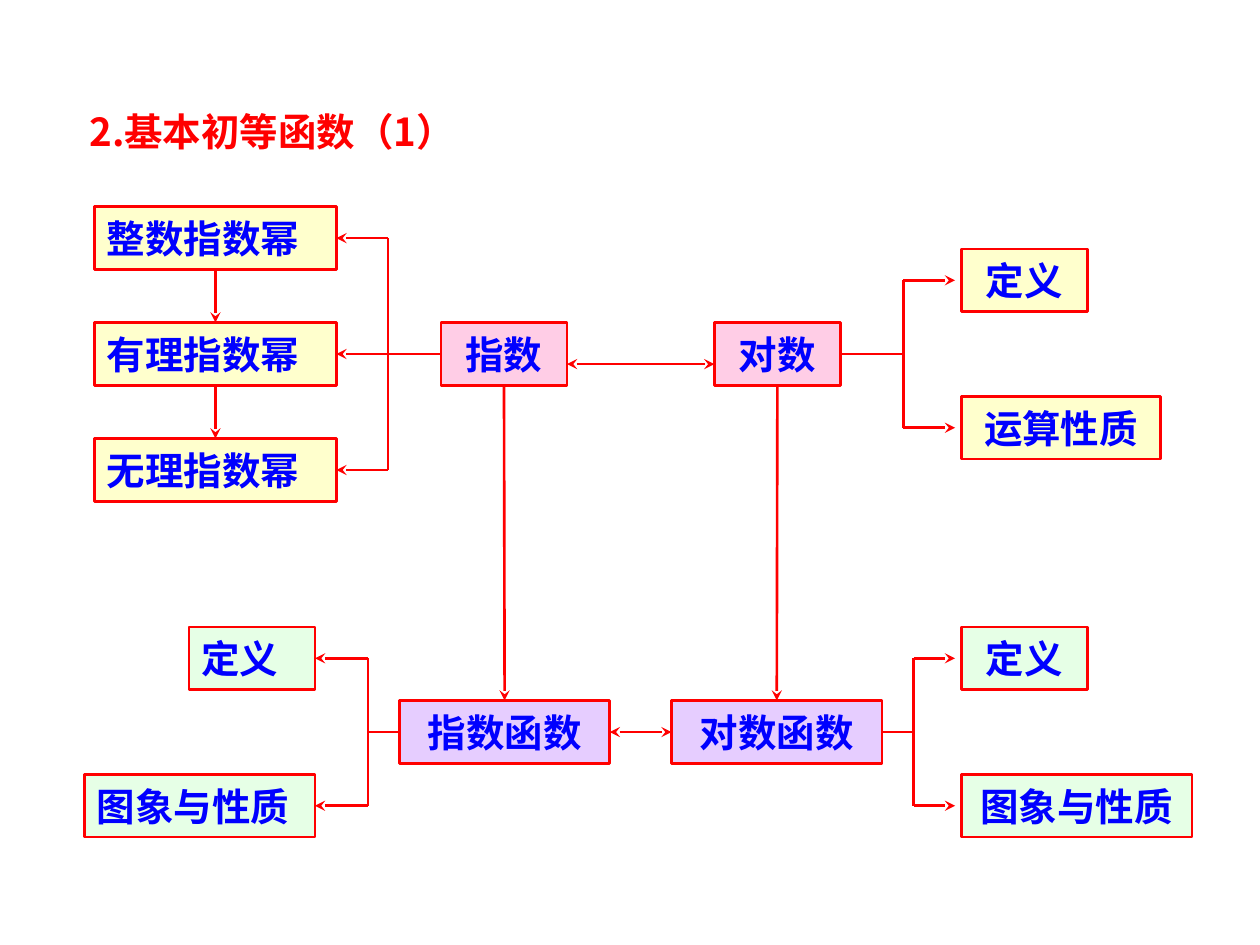
import pptx
import pptx.dml.color
import pptx.enum.shapes
import pptx.enum.text
import pptx.oxml
import pptx.oxml.ns
import pptx.util
from pptx.util import Inches

RED, BLUE = "FF0000", "0000FF"
YELLOW, PINK, PURPLE, GREEN = "FFFF99", "FF99CC", "CC99FF", "CCFFCC"
TOP, LEFT, BOTTOM, RIGHT = range(4)
ALIGN = pptx.enum.text.PP_ALIGN
BOX_HEIGHT = 0.5
POWER_TOP, POWER_STEP = 1.64, 0.92
CONCEPT_TOP = POWER_TOP + POWER_STEP
FUNCTION_TOP = 5.56
RIGHT_COLUMN = 7.63
LEAF_OFFSET = 0.585


def rgb(value):
    """Return the colour for a hex string."""
    return pptx.dml.color.RGBColor.from_string(value)


def apply(target, values):
    """Set each attribute of target from a dict."""
    for name, value in values.items():
        setattr(target, name, value)


def add_xml(parent, tag, **attributes):
    """Append a DrawingML element and return it."""
    element = pptx.oxml.parse_xml(f"<a:{tag} {pptx.oxml.ns.nsdecls('a')}/>")
    for name, value in attributes.items():
        element.set(name, value)
    parent.append(element)
    return element


def style_text(frame, text, align, frame_format, font_format, colour):
    """Write one formatted paragraph into a text frame."""
    apply(frame, frame_format)
    paragraph = frame.paragraphs[0]
    paragraph.alignment = align
    run = paragraph.add_run()
    run.text = text
    apply(run.font, {"size": pptx.util.Pt(22), "bold": True, **font_format})
    run.font.color.rgb = rgb(colour)


def style_line(line):
    """Give an outline or connector the red diagram stroke."""
    line.color.rgb = rgb(RED)
    line.width = pptx.util.Pt(1.5)


def add_title(slide, text):
    """Place and format the slide title."""
    title = slide.shapes.title
    apply(title, {"left": Inches(0.61), "top": Inches(0.81),
                  "width": Inches(4.19), "height": Inches(0.47)})
    frame_format = {"word_wrap": True,
                    "vertical_anchor": pptx.enum.text.MSO_ANCHOR.TOP,
                    "auto_size": pptx.enum.text.MSO_AUTO_SIZE.NONE}
    style_text(title.text_frame, text, ALIGN.LEFT, frame_format,
               {"name": "Noto Sans CJK SC"}, RED)


def add_topic(slide, text, left, top, width, fill, align=ALIGN.CENTER):
    """Add a half-transparent topic box."""
    topic = slide.shapes.add_shape(
        pptx.enum.shapes.MSO_SHAPE.RECTANGLE,
        Inches(left), Inches(top), Inches(width), Inches(BOX_HEIGHT))
    topic.shadow.inherit = False
    topic.fill.solid()
    topic.fill.fore_color.rgb = rgb(fill)
    colour = topic.fill._xPr.find(".//" + pptx.oxml.ns.qn("a:srgbClr"))
    add_xml(colour, "alpha", val="49000")
    style_line(topic.line)
    frame_format = {"word_wrap": False,
                    "vertical_anchor": pptx.enum.text.MSO_ANCHOR.MIDDLE}
    style_text(topic.text_frame, text, align, frame_format,
               {"name": "Arial"}, BLUE)
    return topic


def side(topic, site):
    """Return the middle point of one side of a topic box."""
    middle_x = topic.left + topic.width // 2
    middle_y = topic.top + topic.height // 2
    return {TOP: (middle_x, topic.top),
            LEFT: (topic.left, middle_y),
            BOTTOM: (middle_x, topic.top + topic.height),
            RIGHT: (topic.left + topic.width, middle_y)}[site]


def add_link(slide, start, end, arrows=(), begin=None, finish=None):
    """Draw a straight link, joined to topic sides where given."""
    link = slide.shapes.add_connector(
        pptx.enum.shapes.MSO_CONNECTOR.STRAIGHT, *start, *end)
    if begin:
        link.begin_connect(*begin)
    if finish:
        link.end_connect(*finish)
    style_line(link.line)
    outline = link.line._get_or_add_ln()
    for arrow in arrows:
        add_xml(outline, arrow, type="stealth")
    add_xml(link._element.spPr, "effectLst")


def join(slide, source, source_site, target, target_site, arrows=("tailEnd",)):
    """Link the side of one topic to the side of another."""
    add_link(slide, side(source, source_site), side(target, target_site),
             arrows, (source, source_site), (target, target_site))


def add_branches(slide, hub, hub_site, trunk, leaves, arrow_end=None):
    """Fan out from a hub over a vertical trunk to its leaves."""
    trunk_x = Inches(trunk)
    hub_point = side(hub, hub_site)
    fork = (trunk_x, hub_point[1])
    add_link(slide, hub_point, fork, begin=(hub, hub_site))
    leaf_site = LEFT if hub_site == RIGHT else RIGHT
    for leaf in leaves:
        leaf_point = side(leaf, leaf_site)
        corner = (trunk_x, leaf_point[1])
        if corner != fork:
            add_link(slide, fork, corner)
        if arrow_end:
            add_link(slide, corner, (Inches(arrow_end), leaf_point[1]),
                     ("tailEnd",))
        else:
            add_link(slide, corner, leaf_point, ("tailEnd",),
                     finish=(leaf, leaf_site))


def main():
    """Build the concept map and save it."""
    deck = pptx.Presentation()
    deck.slide_width, deck.slide_height = Inches(10), Inches(7.5)
    slide = deck.slides.add_slide(deck.slide_layouts[5])
    add_title(slide, "2.基本初等函数（1）")

    powers = [add_topic(slide, text, 0.75, POWER_TOP + row * POWER_STEP,
                        1.92, YELLOW, ALIGN.LEFT)
              for row, text in enumerate(
                  ("整数指数幂", "有理指数幂", "无理指数幂"))]
    exponent = add_topic(slide, "指数", 3.5, CONCEPT_TOP, 1, PINK)
    logarithm = add_topic(slide, "对数", 5.67, CONCEPT_TOP, 1, PINK)
    exponential = add_topic(slide, "指数函数", 3.17, FUNCTION_TOP, 1.67, PURPLE)
    logarithmic = add_topic(slide, "对数函数", 5.33, FUNCTION_TOP, 1.67, PURPLE)

    def leaf_pair(hub_top, fill, lower, lower_width, right=None):
        """Add a definition above and a properties topic below a hub row."""
        rows = (("定义", 1, -LEAF_OFFSET), (lower, lower_width, LEAF_OFFSET))
        return [add_topic(slide, text,
                          right - width if right else RIGHT_COLUMN,
                          hub_top + offset, width, fill,
                          ALIGN.LEFT if right else ALIGN.CENTER)
                for text, width, offset in rows]

    log_leaves = leaf_pair(CONCEPT_TOP, YELLOW, "运算性质", 1.58)
    exponential_leaves = leaf_pair(FUNCTION_TOP, GREEN, "图象与性质", 1.83, 2.5)
    logarithmic_leaves = leaf_pair(FUNCTION_TOP, GREEN, "图象与性质", 1.83)

    for upper, lower in zip(powers, powers[1:]):
        join(slide, upper, BOTTOM, lower, TOP)
    join(slide, exponent, BOTTOM, exponential, TOP)
    join(slide, logarithm, BOTTOM, logarithmic, TOP)
    both_ends = ("headEnd", "tailEnd")
    join(slide, exponential, RIGHT, logarithmic, LEFT, both_ends)
    add_link(slide, (Inches(4.5), Inches(2.89)),
             (Inches(5.67), Inches(2.89)), both_ends)

    add_branches(slide, exponent, LEFT, 3.08, powers)
    add_branches(slide, logarithm, RIGHT, 7.17, log_leaves, 7.58)
    add_branches(slide, exponential, LEFT, 2.92, exponential_leaves)
    add_branches(slide, logarithmic, RIGHT, 7.25, logarithmic_leaves, 7.58)
    deck.save("out.pptx")


if __name__ == "__main__":
    main()
